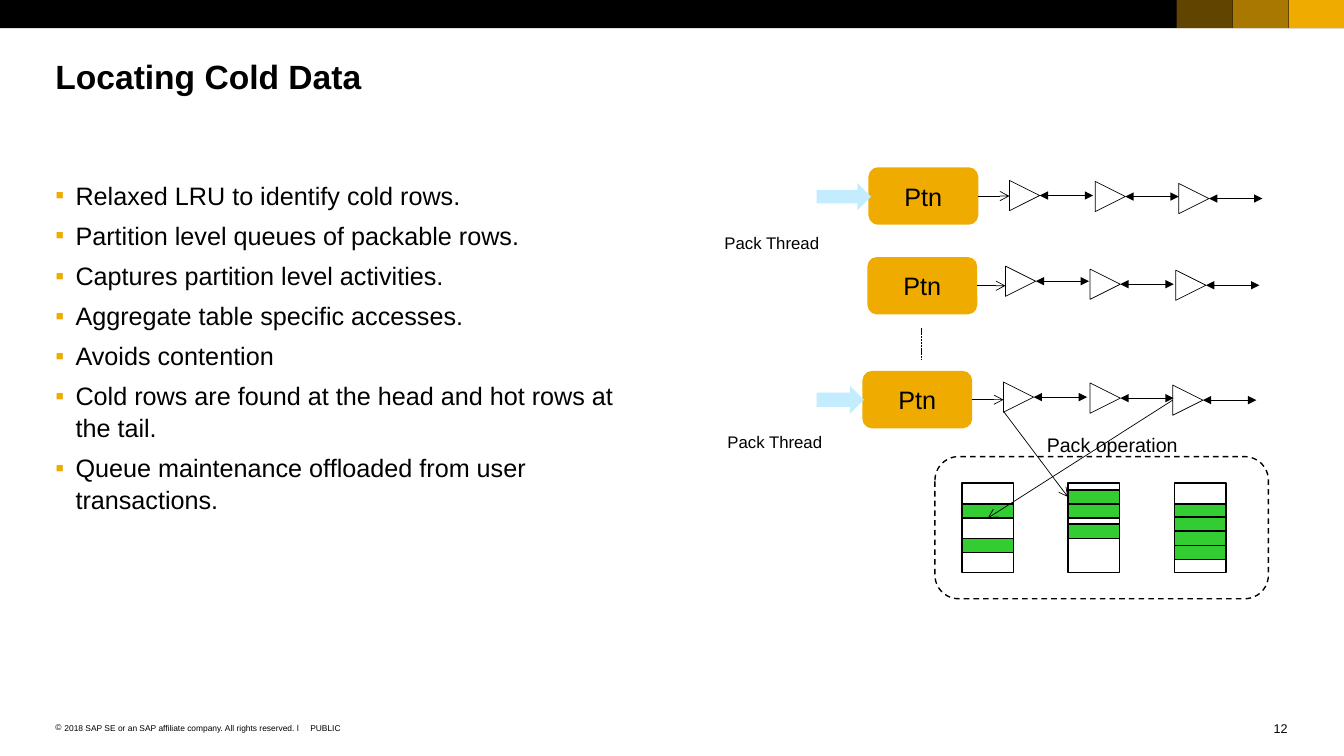
"""Build the slide on locating cold data with partition queues and a pack operation."""
from dataclasses import dataclass
from typing import Any, Optional

import lxml.etree
import pptx
import pptx.dml.color
import pptx.enum.dml
import pptx.enum.shapes
import pptx.enum.text
import pptx.oxml.ns
import pptx.util

Inches = pptx.util.Inches
Pt = pptx.util.Pt
qn = pptx.oxml.ns.qn
SHAPE = pptx.enum.shapes.MSO_SHAPE
DASH = pptx.enum.dml.MSO_LINE
ALIGN = pptx.enum.text.PP_ALIGN
ANCHOR = pptx.enum.text.MSO_ANCHOR

BLACK, GOLD, GREEN, SKY = "000000", "F0AB00", "33CC33", "C3ECFF"
NODE = 0.3
LINK = 0.53
BAR_W, BAR_H = 0.51, 0.14


@dataclass
class Queue:
    x: float
    y: float
    nodes: list[tuple[float, float]]


@dataclass
class Page:
    x: float
    bars: list[float]


@dataclass
class Label:
    text: str
    x: float
    y: float
    w: float
    h: float
    size: float
    align: Any = ALIGN.LEFT
    bullet: str = ""


QUEUES = [
    Queue(8.62, 1.66, [(10.02, 1.79), (10.87, 1.8), (11.7, 1.82)]),
    Queue(8.61, 2.55, [(9.98, 2.64), (10.82, 2.67), (11.67, 2.68)]),
    Queue(8.56, 3.68, [(9.96, 3.79), (10.82, 3.8), (11.64, 3.82)]),
]
PAGES = [
    Page(9.55, [5, 5.34]),
    Page(10.6, [4.86, 5, 5.2]),
    Page(11.66, [5, 5.13, 5.27, 5.41]),
]
LABELS = [
    Label("Pack operation", 10.39, 4.29, 1.64, 0.24, 14),
    Label("Pack Thread", 7.19, 2.31, 0.95, 0.2, 12),
    Label("Pack Thread", 7.22, 4.28, 0.95, 0.2, 12),
    Label("12", 12.63, 7.15, 0.15, 0.15, 9, ALIGN.RIGHT),
    Label("PUBLIC", 3.08, 7.17, 0.31, 0.1, 6),
    Label("2018 SAP SE or an SAP affiliate company. All rights reserved. ǀ",
          0.55, 7.17, 2.48, 0.1, 6, bullet="©"),
]
POINTS = [
    "Relaxed LRU to identify cold rows.",
    "Partition level queues of packable rows.",
    "Captures partition level activities.",
    "Aggregate table specific accesses.",
    "Avoids contention",
    "Cold rows are found at the head and hot rows at the tail.",
    "Queue maintenance offloaded from user transactions.",
]


def rgb(color: str) -> pptx.dml.color.RGBColor:
    return pptx.dml.color.RGBColor.from_string(color)


def add_bullet(p: Any, char: str, color: str, indent: float) -> None:
    pPr = p._p.get_or_add_pPr()
    pPr.set("marL", str(Inches(indent)))
    pPr.set("indent", str(-Inches(indent)))
    clr = lxml.etree.SubElement(pPr, qn("a:buClr"))
    lxml.etree.SubElement(clr, qn("a:srgbClr"), val=color)
    lxml.etree.SubElement(pPr, qn("a:buFont"), typeface="Arial")
    lxml.etree.SubElement(pPr, qn("a:buChar"), char=char)


def format_runs(p: Any, size: float, bold: bool = False) -> None:
    for r in p.runs:
        r.font.name = "Arial"
        r.font.size = Pt(size)
        r.font.bold = bold
        r.font.color.rgb = rgb(BLACK)


def prepare_frame(tf: Any, wrap: bool, anchor: Any = ANCHOR.TOP) -> None:
    tf.margin_left = tf.margin_top = tf.margin_right = tf.margin_bottom = 0
    tf.word_wrap = wrap
    tf.auto_size = pptx.enum.text.MSO_AUTO_SIZE.NONE
    tf.vertical_anchor = anchor


def place(sp: Any, x: float, y: float, w: float, h: float) -> None:
    sp.left, sp.top, sp.width, sp.height = map(Inches, (x, y, w, h))


def add_shape(s: Any, kind: Any, x: float, y: float, w: float, h: float, fill: Optional[str] = None,
              line: float = 0, rotation: float = 0, alpha: int = 100) -> Any:
    sp = s.shapes.add_shape(kind, Inches(x), Inches(y), Inches(w), Inches(h))
    sp.shadow.inherit = False
    sp.rotation = rotation
    if fill:
        sp.fill.solid()
        sp.fill.fore_color.rgb = rgb(fill)
        if alpha < 100:
            clr = sp._element.spPr.find(".//" + qn("a:srgbClr"))
            lxml.etree.SubElement(clr, qn("a:alpha"), val=str(alpha * 1000))
    else:
        sp.fill.background()
    if line:
        sp.line.color.rgb = rgb(BLACK)
        sp.line.width = Pt(line)
    else:
        sp.line.fill.background()
    return sp


def add_line(s: Any, x1: float, y1: float, x2: float, y2: float,
             head: str = "", tail: str = "", dash: Any = None) -> Any:
    line = s.shapes.add_connector(pptx.enum.shapes.MSO_CONNECTOR.STRAIGHT,
                                  Inches(x1), Inches(y1), Inches(x2), Inches(y2))
    line.line.color.rgb = rgb(BLACK)
    line.line.width = Pt(0.5)
    if dash:
        line.line.dash_style = dash
    ln = line.line._get_or_add_ln()
    for tag, end in (("a:headEnd", head), ("a:tailEnd", tail)):
        if end:
            lxml.etree.SubElement(ln, qn(tag), type=end)
    lxml.etree.SubElement(line._element.spPr, qn("a:effectLst"))
    return line


def add_label(s: Any, label: Label) -> None:
    sp = s.shapes.add_textbox(*map(Inches, (label.x, label.y, label.w, label.h)))
    prepare_frame(sp.text_frame, wrap=bool(label.bullet))
    p = sp.text_frame.paragraphs[0]
    p.text = label.text
    p.alignment = label.align
    if label.bullet:
        add_bullet(p, label.bullet, BLACK, 0.09)
    format_runs(p, label.size)


def add_queue(s: Any, queue: Queue) -> None:
    sp = add_shape(s, SHAPE.ROUNDED_RECTANGLE, queue.x, queue.y, 1.09, 0.57, GOLD)
    prepare_frame(sp.text_frame, wrap=False, anchor=ANCHOR.MIDDLE)
    p = sp.text_frame.paragraphs[0]
    p.text = "Ptn"
    p.alignment = ALIGN.CENTER
    format_runs(p, 18)
    for x, y in queue.nodes:
        add_shape(s, SHAPE.ISOSCELES_TRIANGLE, x, y, NODE, NODE, line=0.5, rotation=90)
        mid, start = y + NODE / 2, x + NODE
        add_line(s, start, mid, start + LINK, mid, head="triangle", tail="triangle")
    mid = queue.y + 0.57 / 2
    add_line(s, queue.x + 1.09, mid, queue.nodes[0][0], mid, tail="arrow").begin_connect(sp, 3)


def add_page(s: Any, page: Page) -> list[Any]:
    add_shape(s, SHAPE.RECTANGLE, page.x, 4.79, BAR_W, 0.89, line=1)
    return [add_shape(s, SHAPE.RECTANGLE, page.x, y, BAR_W, BAR_H, GREEN, line=1) for y in page.bars]


def main() -> None:
    prs = pptx.Presentation()
    prs.slide_width, prs.slide_height = Inches(13.34), Inches(7.5)
    s = prs.slides.add_slide(prs.slide_layouts[1])

    add_shape(s, SHAPE.RECTANGLE, 0, 0, 13.34, 0.28, BLACK)
    for i, alpha in enumerate((40, 70, 100)):
        add_shape(s, SHAPE.RECTANGLE, 11.68 + i * 0.555, 0, 0.55, 0.28, GOLD, alpha=alpha)

    title, body = s.shapes.title, s.placeholders[1]
    place(title, 0.55, 0.55, 5.59, 0.4)
    prepare_frame(title.text_frame, wrap=True)
    title.text_frame.text = "Locating Cold Data"
    title.text_frame.paragraphs[0].alignment = ALIGN.LEFT
    format_runs(title.text_frame.paragraphs[0], 24, bold=True)

    place(body, 0.55, 1.77, 5.59, 5.16)
    prepare_frame(body.text_frame, wrap=True)
    body.text_frame.text = "\n".join(POINTS)
    for i, p in enumerate(body.text_frame.paragraphs):
        add_bullet(p, "▪", GOLD, 0.2)
        p.level = 1
        p.space_before = Pt(6 if i else 0)
        p.line_spacing = 1.05
        format_runs(p, 18)

    for queue in QUEUES:
        add_queue(s, queue)
    add_line(s, 9.15, 3.25, 9.15, 3.57, dash=DASH.SQUARE_DOT)

    area = add_shape(s, SHAPE.ROUNDED_RECTANGLE, 9.28, 4.53, 3.31, 1.41, line=1)
    area.line.dash_style = DASH.DASH
    bars = [add_page(s, page) for page in PAGES]
    add_line(s, 9.96, 4.08, 10.6, 4.93, tail="arrow").end_connect(bars[1][0], 1)
    add_line(s, 11.64, 3.97, 9.81, 5.14, tail="arrow").end_connect(bars[0][0], 2)

    for x, y, w, h in ((8.24, 1.68, 0.27, 0.54), (8.2, 3.73, 0.28, 0.47)):
        add_shape(s, SHAPE.DOWN_ARROW, x, y, w, h, SKY, rotation=270)
    for label in LABELS:
        add_label(s, label)
    prs.save("out.pptx")


if __name__ == "__main__":
    main()
